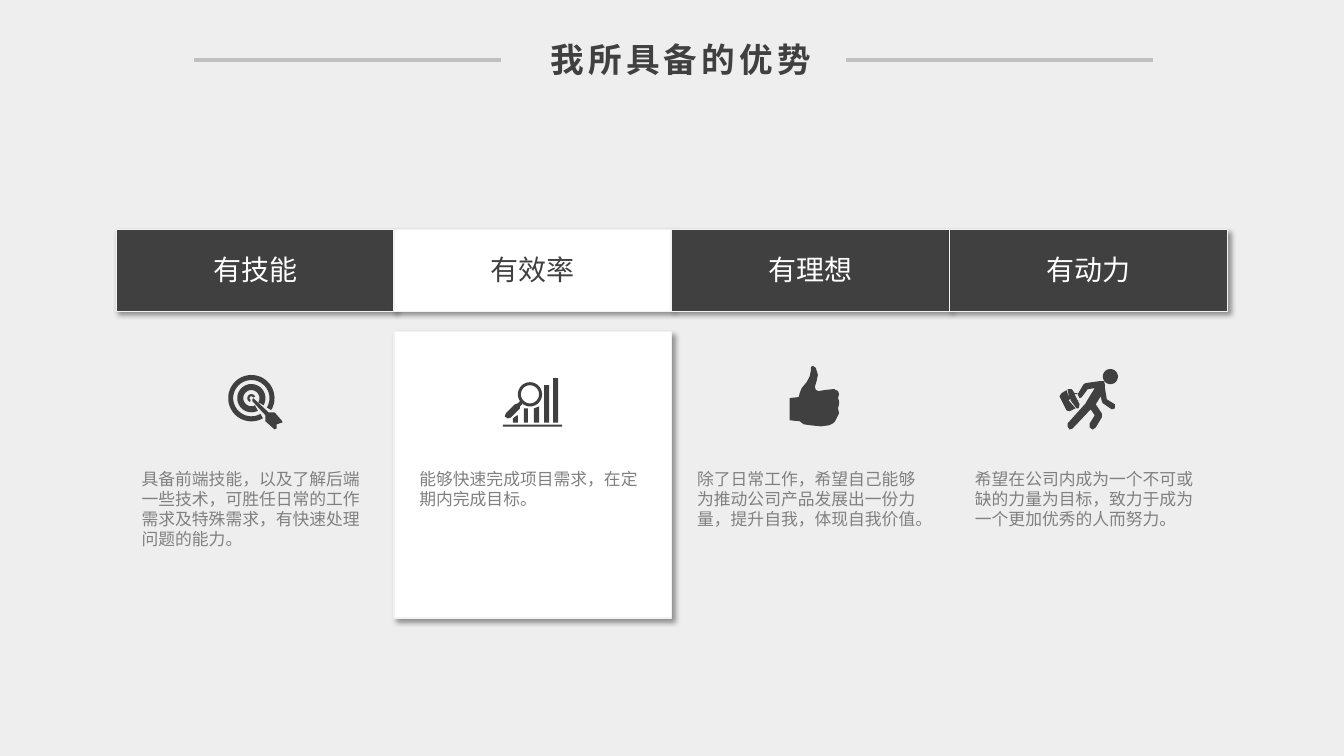
from math import cos, radians, sin

from lxml import etree
from pptx import Presentation
from pptx.dml.color import RGBColor
from pptx.enum.shapes import MSO_CONNECTOR, MSO_SHAPE
from pptx.enum.text import MSO_ANCHOR, PP_ALIGN
from pptx.oxml.ns import qn
from pptx.util import Cm, Pt

RECT, LINE = MSO_SHAPE.RECTANGLE, MSO_CONNECTOR.STRAIGHT
LEFT, MID, TOP = PP_ALIGN.LEFT, PP_ALIGN.CENTER, MSO_ANCHOR.TOP
SANS, BODY = "Noto Sans CJK SC", "Arial"
HUES = {"back": "EEEEEE", "dark": "404040", "white": "FFFFFF",
        "edge": "F2F2F2", "text": "808080", "rule": "BFBFBF"}
UNIT = Cm(0.0254)
FINE = 10


def hue(name):
    """Return the named colour."""
    return RGBColor.from_string(HUES[name])


def arc(x, y, outer, inner=0, start=0, end=360):
    """Return the outline of a ring or of a part of one."""
    turns = [radians(start + (end - start) * i / 40) for i in range(41)]
    rim = [(x + outer * cos(t), y + outer * sin(t)) for t in turns]
    core = [(x + inner * cos(t), y + inner * sin(t)) for t in turns[::-1]]
    return rim + core


def bar(x, y, right, foot):
    """Return the outline of an upright bar."""
    return [(x, y), (right, y), (right, foot), (x, foot)]


AIM = [
    arc(23, 23, 23, 18, 60, 391),
    arc(23, 23, 14, 8, 63, 390),
    arc(23, 23, 4, 1.8, 110, 340),
    [(25, 23), (26, 24), (40, 37), (46, 37), (53, 45), (54, 47), (48, 49),
     (48, 53), (46, 54), (37, 46), (37, 40), (24, 26), (24, 24)],
]
CHART = [
    bar(0, 46, 59, 48), bar(21, 30, 25, 44), bar(41, 7, 46, 44),
    bar(50, 0, 55, 44),
    [(14, 37), (15, 37), (15, 44), (10, 44), (10, 40)],
    [(31, 30), (36, 28), (36, 44), (31, 44)],
    arc(27, 16, 12, 9),
    [(17, 23), (20, 25), (17, 28), (17, 30), (8, 39), (5, 40), (2, 38),
     (3, 35), (12, 26), (15, 25)],
]
THUMB = [
    [(49, 38), (48, 42), (49, 47), (47, 51), (45, 55), (43, 57), (39, 59),
     (31, 60), (21, 59), (14, 58), (10, 55), (0, 54), (0, 32), (9, 31),
     (10, 27), (12, 22), (17, 16), (20, 10), (21, 5), (21, 1), (23, 0),
     (26, 2), (28, 9), (27, 14), (25, 21), (26, 24), (29, 25), (35, 24),
     (44, 23), (48, 25), (49, 28), (48, 32), (49, 35)],
]
RUNNER = [
    arc(50.5, 7.5, 7.5),
    [(7, 21), (10, 30), (9, 31), (16, 39), (10, 42), (7, 41), (0, 27),
     (2, 24)],
    [(12, 20), (13, 21), (15, 24), (18, 24), (17, 25), (15, 25), (18, 31),
     (20, 31), (18, 31), (20, 35), (19, 39), (17, 39), (11, 31), (12, 30),
     (10, 30), (8, 20)],
    [(40, 12), (44, 12), (45, 15), (45, 18), (47, 30), (55, 35), (55, 39),
     (52, 40), (43, 34), (42, 32), (41, 27), (36, 35), (42, 44), (42, 48),
     (36, 58), (33, 60), (30, 58), (30, 54), (35, 46), (31, 40), (13, 59),
     (10, 60), (8, 57), (8, 54), (26, 34), (27, 32), (35, 19), (28, 20),
     (22, 28), (20, 29), (18, 25), (24, 15), (26, 14)],
]
ITEMS = [
    ("有技能", AIM, 2.82, 3.66,
     "具备前端技能，以及了解后端一些技术，可胜任日常的工作需求及特殊需求，有快速处理问题的能力。"),
    ("有效率", CHART, 2.74, 3.74, "能够快速完成项目需求，在定期内完成目标。"),
    ("有理想", THUMB, 2.97, 3.43,
     "除了日常工作，希望自己能够为推动公司产品发展出一份力量，提升自我，体现自我价值。"),
    ("有动力", RUNNER, 2.77, 3.51,
     "希望在公司内成为一个不可或缺的力量为目标，致力于成为一个更加优秀的人而努力。"),
]
PICK = 1


def write(slide, box, text, size, tone, face=SANS, align=MID, bold=False,
          space=0):
    """Add a text box in one style."""
    frame = slide.shapes.add_textbox(*map(Cm, box)).text_frame
    frame.word_wrap, frame.vertical_anchor = True, TOP
    para = frame.paragraphs[0]
    para.text, para.alignment = text, align
    font = para.font
    font.size, font.name, font.bold = Pt(size), face, bold
    font.color.rgb = hue(tone)
    props = para._p.pPr.find(qn("a:defRPr"))
    etree.SubElement(props, qn("a:ea"), typeface=SANS)
    if space:
        props.set("spc", str(space * 100))


def panel(slide, box, tone):
    """Add an edged rectangle with a soft shadow."""
    shape = slide.shapes.add_shape(RECT, *map(Cm, box))
    shape.fill.solid()
    shape.fill.fore_color.rgb = hue(tone)
    shape.line.color.rgb, shape.line.width = hue("edge"), Pt(1)
    shape.shadow.inherit = False
    effects = shape._element.spPr.find(qn("a:effectLst"))
    shade = etree.SubElement(effects, qn("a:outerShdw"), blurRad=str(Pt(4)),
                             dist=str(Pt(3)), dir="2700000", algn="tl",
                             rotWithShape="0")
    black = etree.SubElement(shade, qn("a:srgbClr"), val="000000")
    etree.SubElement(black, qn("a:alpha"), val="40000")


def icon(slide, x, y, parts):
    """Add an icon made of closed outlines."""
    fine = [[(a * FINE, b * FINE) for a, b in part] for part in parts]
    build = slide.shapes.build_freeform(*fine[0][0], scale=UNIT / FINE)
    build.add_line_segments(fine[0][1:], close=True)
    for part in fine[1:]:
        build.move_to(*part[0])
        build.add_line_segments(part[1:], close=True)
    shape = build.convert_to_shape(Cm(x), Cm(y))
    shape.fill.solid()
    shape.fill.fore_color.rgb = hue("dark")
    shape.line.fill.background()
    shape.shadow.inherit = False


def title(slide, x, y, wide, text):
    """Add the heading between two rules."""
    rule = 7.74
    for start in (x, x + wide - rule):
        line = slide.shapes.add_connector(
            LINE, Cm(start), Cm(y), Cm(start + rule), Cm(y))
        line.line.color.rgb, line.line.width = hue("rule"), Pt(3)
        etree.SubElement(line._element.spPr, qn("a:effectLst"))
    write(slide, (x + 7.87, y - 0.66, 8.81, 1.27), text, 24, "dark",
          bold=True, space=3)


def heads(slide, x, y, wide, high):
    """Add the row of column heads."""
    for i, item in enumerate(ITEMS):
        panel(slide, (x + i * wide, y, wide, high),
              "white" if i == PICK else "dark")
    for i, item in enumerate(ITEMS):
        write(slide, (x + i * wide, y + 0.46, wide, 1.12), item[0], 20,
              "dark" if i == PICK else "white")


def column(slide, x, y, wide, high, item, picked):
    """Add the icon and text below one head."""
    _, parts, dx, dy, text = item
    if picked:
        panel(slide, (x, y + 2.57, wide, high), "white")
    icon(slide, x + dx, y + dy, parts)
    write(slide, (x + 0.39, y + 5.89, 6.22, 2.31), text, 12, "text",
          BODY, LEFT)


def main():
    """Build and save the slide."""
    deck = Presentation()
    deck.slide_width, deck.slide_height = Cm(33.87), Cm(19.05)
    slide = deck.slides.add_slide(deck.slide_layouts[6])
    slide.background.fill.solid()
    slide.background.fill.fore_color.rgb = hue("back")
    x, y, wide = 2.93, 5.79, 7
    heads(slide, x, y, wide, 2.06)
    for i, item in enumerate(ITEMS):
        column(slide, x + i * wide, y, wide, 7.21, item, i == PICK)
    title(slide, 4.88, 1.52, 24.18, "我所具备的优势")
    deck.save("out.pptx")


if __name__ == "__main__":
    main()
